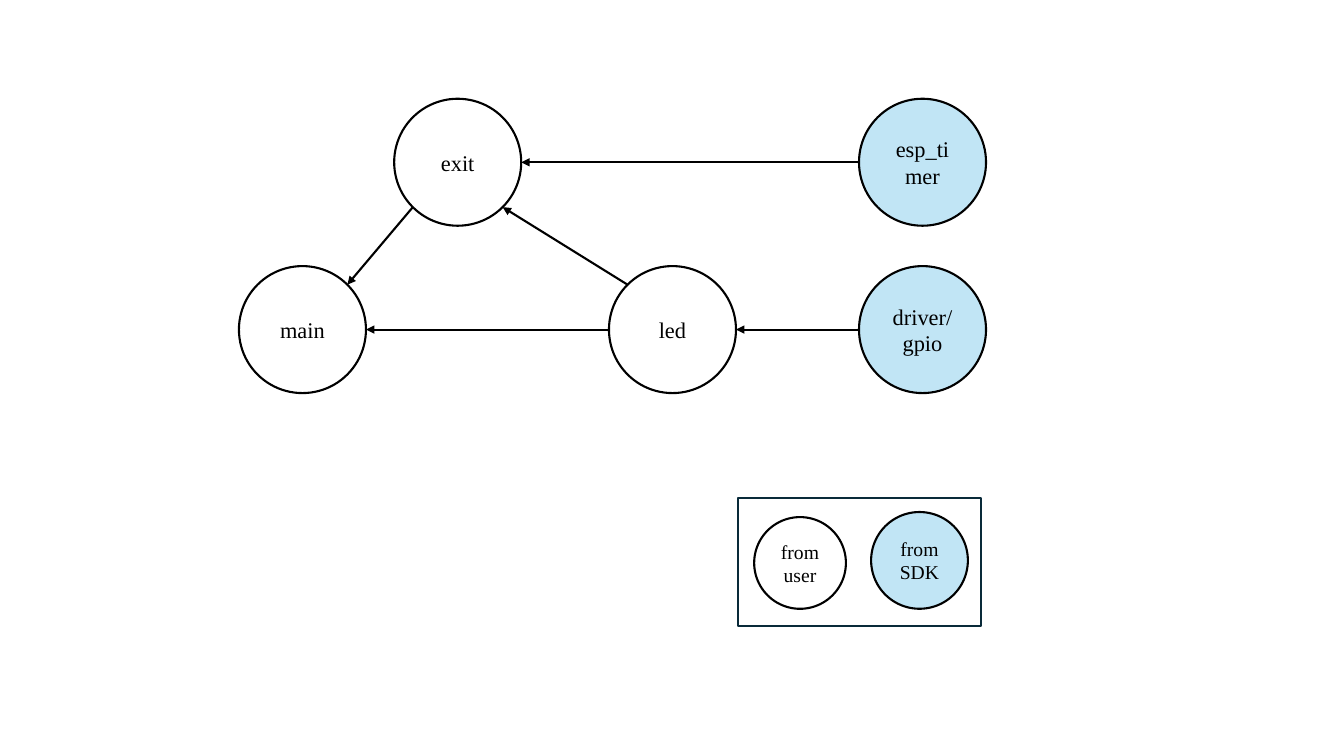
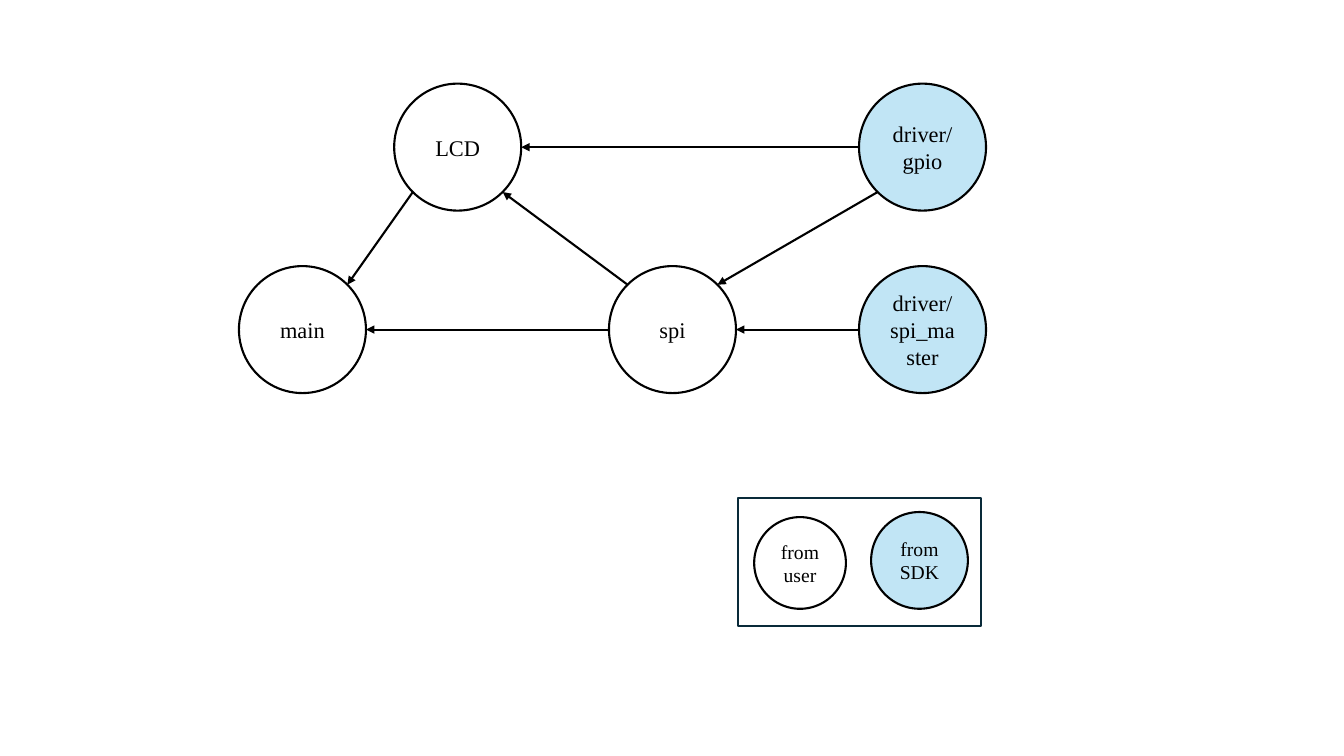
from math import cos, radians, sin

from lxml.etree import SubElement
from pptx import Presentation
from pptx.dml.color import RGBColor
from pptx.enum.shapes import MSO_CONNECTOR, MSO_SHAPE
from pptx.enum.text import MSO_ANCHOR, PP_ALIGN
from pptx.oxml.ns import qn
from pptx.util import Inches, Pt

BLACK = RGBColor(0x00, 0x00, 0x00)
SKY = RGBColor(0xC1, 0xE5, 0xF5)
NAVY = RGBColor(0x09, 0x2A, 0x39)
FONT = "Times New Roman"
STROKE = Pt(1.5)

SIZE = 1.26  # node diameter
LOW = 2.64  # top of the lower row
COLS = {"main": 2.37, "upper": 3.91, "lower": 6.04, "vendor": 8.52}

# Each node: label, column, row. Each arrow: from, to.
GRAPHS = [
    {
        "high": 0.98,
        "nodes": [
            ("main", "main", "low"),
            ("led", "lower", "low"),
            ("driver/gpio", "vendor", "low"),
            ("exit", "upper", "high"),
            ("esp_timer", "vendor", "high"),
        ],
        "arrows": [
            ("exit", "main"),
            ("driver/gpio", "led"),
            ("esp_timer", "exit"),
            ("led", "exit"),
            ("led", "main"),
        ],
    },
    {
        "high": 0.83,
        "nodes": [
            ("main", "main", "low"),
            ("spi", "lower", "low"),
            ("driver/spi_master", "vendor", "low"),
            ("LCD", "upper", "high"),
            ("driver/gpio", "vendor", "high"),
        ],
        "arrows": [
            ("driver/spi_master", "spi"),
            ("spi", "main"),
            ("spi", "LCD"),
            ("LCD", "main"),
            ("driver/gpio", "spi"),
            ("driver/gpio", "LCD"),
        ],
    },
]

# Label, left, top, diameter, fill
LEGEND = [
    ("from user", 7.48, 5.13, 0.91, None),
    ("from SDK", 8.64, 5.08, 0.96, SKY),
]
FRAME = (7.32, 4.94, 2.41, 1.27)


def add_outline(shapes, kind, box, color, fill=None):
    shape = shapes.add_shape(kind, *map(Inches, box))
    shape.shadow.inherit = False
    if fill is None:
        shape.fill.background()
    else:
        shape.fill.solid()
        shape.fill.fore_color.rgb = fill
    shape.line.color.rgb = color
    shape.line.width = STROKE
    return shape


def add_circle(shapes, label, left, top, size, points, fill):
    box = (left, top, size, size)
    circle = add_outline(shapes, MSO_SHAPE.OVAL, box, BLACK, fill)
    frame = circle.text_frame
    frame.word_wrap = True
    frame.vertical_anchor = MSO_ANCHOR.MIDDLE
    frame.text = label
    par = frame.paragraphs[0]
    par.alignment = PP_ALIGN.CENTER
    par.font.name = FONT
    par.font.size = Pt(points)
    par.font.color.rgb = BLACK
    return circle


def site_point(circle, site):
    """Return a connection site; the eight run counterclockwise from the top."""
    angle = radians(90 + 45 * site)
    radius = circle.width / 2
    x = circle.left + radius * (1 + cos(angle))
    y = circle.top + radius * (1 - sin(angle))
    return round(x), round(y)


def add_arrow(shapes, start, end):
    """Join the left side of start to the right side of end."""
    if start.top == end.top:
        sites = (2, 6)
    elif start.top > end.top:
        sites = (1, 5)
    else:
        sites = (3, 7)
    first, last = site_point(start, sites[0]), site_point(end, sites[1])
    arrow = shapes.add_connector(MSO_CONNECTOR.STRAIGHT, *first, *last)
    arrow.line.color.rgb = BLACK
    arrow.line.width = STROKE
    SubElement(arrow.line._get_or_add_ln(), qn("a:tailEnd"), type="triangle")
    SubElement(arrow._element.spPr, qn("a:effectLst"))
    glue = arrow._element.nvCxnSpPr.cNvCxnSpPr
    for tag, circle, site in zip(("a:stCxn", "a:endCxn"), (start, end), sites):
        SubElement(glue, qn(tag), id=str(circle.shape_id), idx=str(site))


def add_legend(slide):
    shapes = slide.shapes.add_group_shape().shapes
    for label, left, top, size, fill in LEGEND:
        add_circle(shapes, label, left, top, size, 14, fill)
    add_outline(shapes, MSO_SHAPE.RECTANGLE, FRAME, NAVY)


def add_graph(slide, graph):
    rows = {"low": LOW, "high": graph["high"]}
    nodes = {}
    for label, col, row in graph["nodes"]:
        fill = SKY if col == "vendor" else None
        nodes[label] = add_circle(slide.shapes, label, COLS[col], rows[row],
                                  SIZE, 16, fill)
    for start, end in graph["arrows"]:
        add_arrow(slide.shapes, nodes[start], nodes[end])


def main():
    deck = Presentation()
    deck.slide_width, deck.slide_height = Inches(13.33), Inches(7.5)
    blank = deck.slide_layouts[6]
    for graph in GRAPHS:
        slide = deck.slides.add_slide(blank)
        add_graph(slide, graph)
        add_legend(slide)
    deck.save("out.pptx")


if __name__ == "__main__":
    main()
